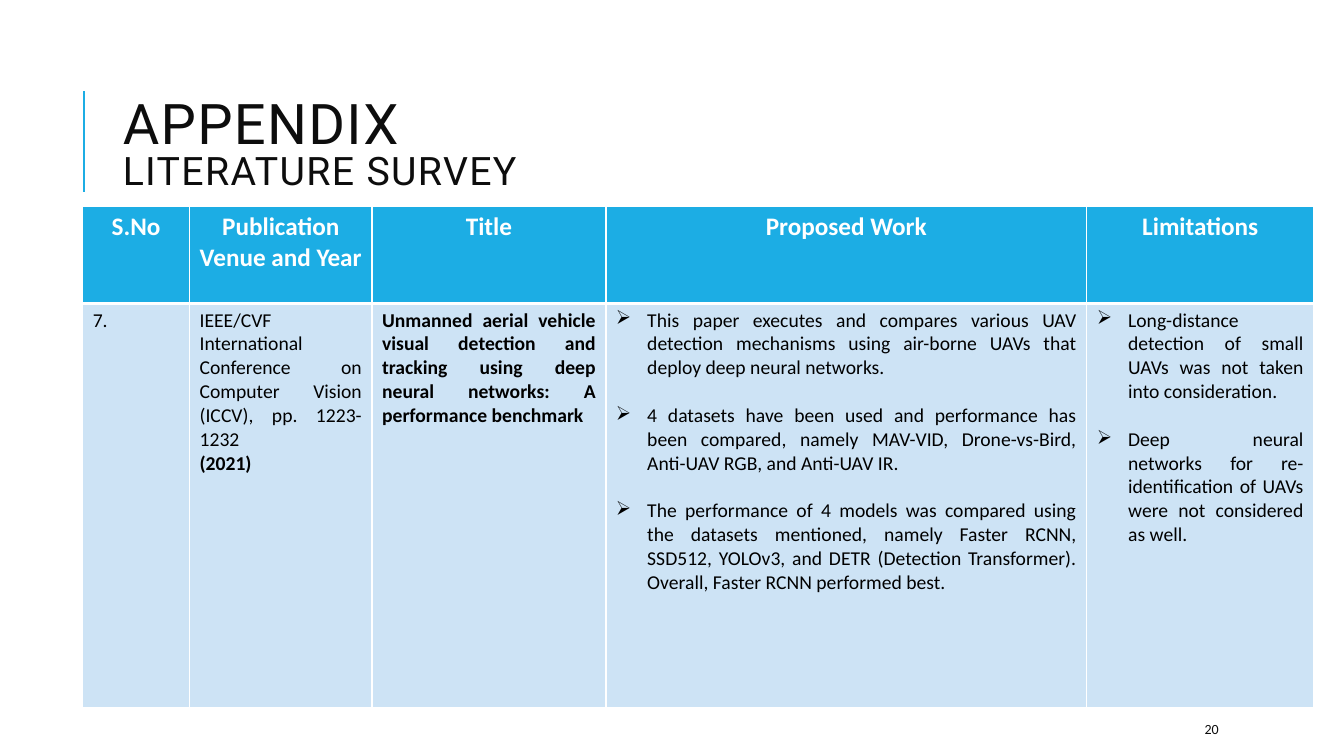
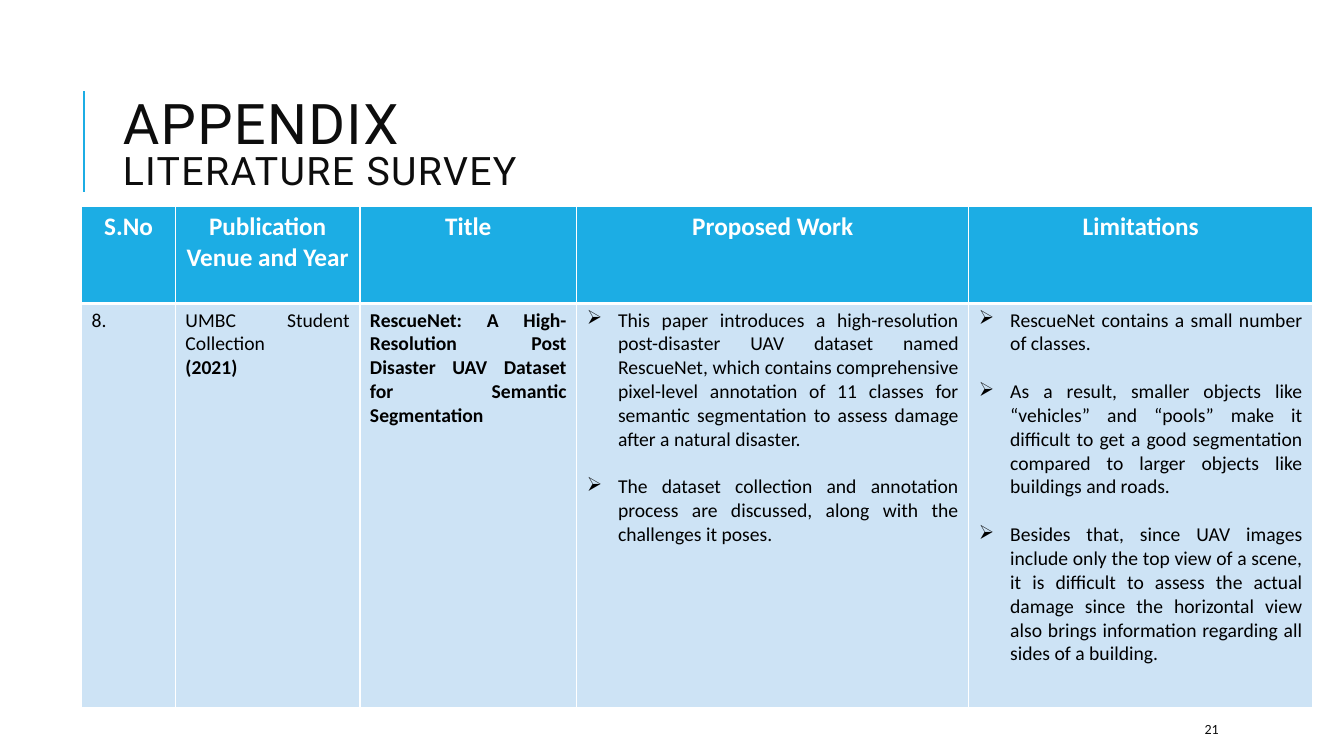
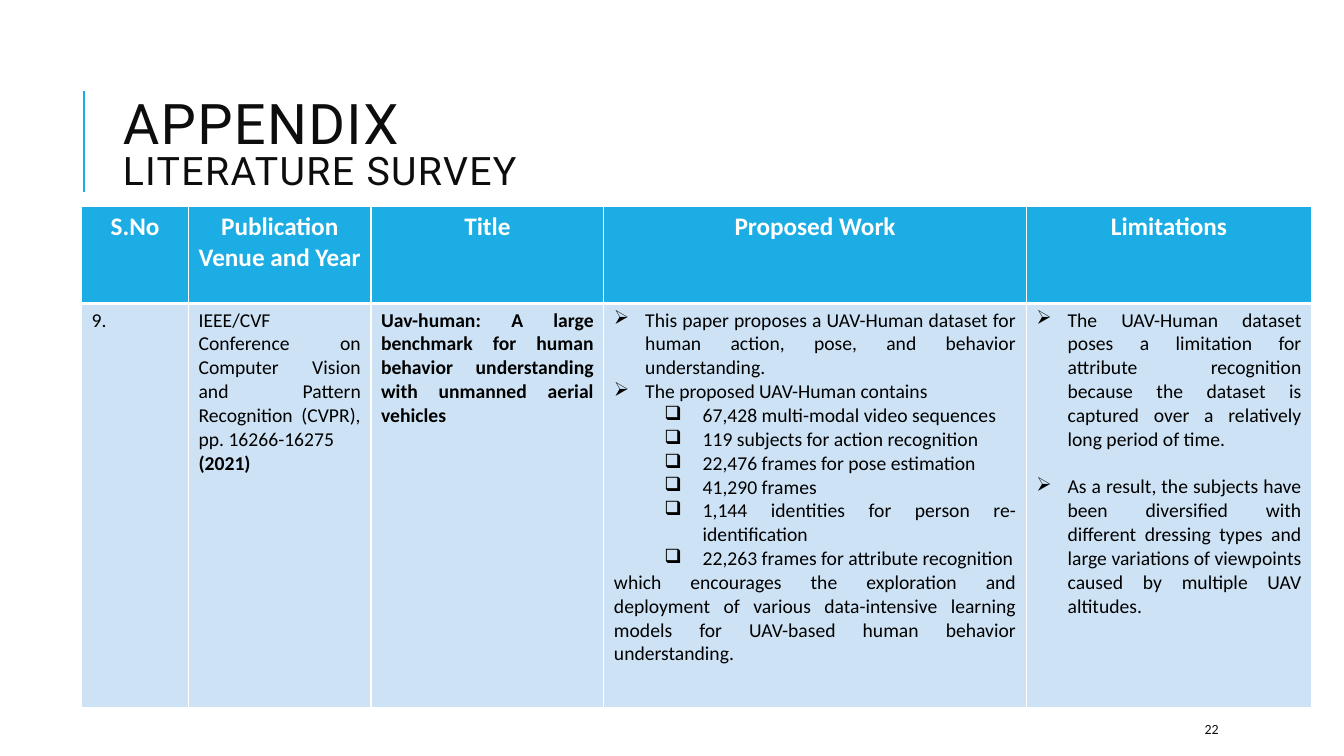
from lxml.etree import SubElement
from pptx import Presentation
from pptx.dml.color import RGBColor
from pptx.enum.shapes import MSO_CONNECTOR
from pptx.enum.text import MSO_ANCHOR, PP_ALIGN
from pptx.oxml import parse_xml
from pptx.oxml.ns import nsdecls, qn
from pptx.util import Inches, Pt

ACCENT, INK, BODY_FILL, WHITE, BLACK = "1CADE4", "0D0D0D", "CDE3F5", "FFFFFF", "000000"
TITLE_FONT, BODY_FONT = "Roboto", "Calibri"
TITLE_LINES = [("APPENDIX", 40), ("LITERATURE SURVEY", 28)]
HEADERS = ["S.No", "Publication Venue and Year", "Title", "Proposed Work", "Limitations"]
ROW_HEIGHTS = [0.96, 4.01]
TABLE_TOP = 2.05
FIRST_PAGE = 20
BLANK_LINE = 17  # points between spaced bullets

# Bullet styles: character, left indent, hanging indent
BULLETS = {"arrow": ("➢", 0.31, 0.31), "box": ("❑", 0.88, 0.38)}

# Each work and limitation entry: style, space before in points, text
SURVEY = [
    {
        "number": "7.", "left": 0.82, "columns": [1.06, 1.81, 2.32, 4.77, 2.25],
        "venue": "IEEE/CVF International Conference on Computer Vision (ICCV), pp. 1223-1232",
        "year": "(2021)",
        "title": "Unmanned aerial vehicle visual detection and tracking using deep neural "
                 "networks: A performance benchmark",
        "work": [
            ("arrow", 0, "This paper executes and compares various UAV detection mechanisms "
                         "using air-borne UAVs that deploy deep neural networks."),
            ("arrow", BLANK_LINE, "4 datasets have been used and performance has been compared, "
                                  "namely MAV-VID, Drone-vs-Bird, Anti-UAV RGB, and Anti-UAV IR."),
            ("arrow", BLANK_LINE, "The performance of 4 models was compared using the datasets "
                                  "mentioned, namely Faster RCNN, SSD512, YOLOv3, and DETR "
                                  "(Detection Transformer). Overall, Faster RCNN performed best."),
        ],
        "limits": [
            ("arrow", 0, "Long-distance detection of small UAVs was not taken into consideration."),
            ("arrow", BLANK_LINE, "Deep neural networks for re-identification of UAVs were not "
                                  "considered as well."),
        ],
    },
    {
        "number": "8.", "left": 0.81, "columns": [0.93, 1.83, 2.15, 3.89, 3.41],
        "venue": "UMBC Student Collection",
        "year": "(2021)",
        "title": "RescueNet: A High-Resolution Post Disaster UAV Dataset for Semantic Segmentation",
        "work": [
            ("arrow", 0, "This paper introduces a high-resolution post-disaster UAV dataset named "
                         "RescueNet, which contains comprehensive pixel-level annotation of 11 "
                         "classes for semantic segmentation to assess damage after a natural "
                         "disaster."),
            ("arrow", BLANK_LINE, "The dataset collection and annotation process are discussed, "
                                  "along with the challenges it poses."),
        ],
        "limits": [
            ("arrow", 0, "RescueNet contains a small number of classes."),
            ("arrow", BLANK_LINE, "As a result, smaller objects like “vehicles” and “pools” make "
                                  "it difficult to get a good segmentation compared to larger "
                                  "objects like buildings and roads."),
            ("arrow", BLANK_LINE, "Besides that, since UAV images include only the top view of a "
                                  "scene, it is difficult to assess the actual damage since the "
                                  "horizontal view also brings information regarding all sides of "
                                  "a building."),
        ],
    },
    {
        "number": "9.", "left": 0.81, "columns": [1.06, 1.81, 2.31, 4.19, 2.83],
        "venue": "IEEE/CVF Conference on Computer Vision and Pattern Recognition (CVPR), "
                 "pp. 16266-16275",
        "year": "(2021)",
        "title": "Uav-human: A large benchmark for human behavior understanding with unmanned "
                 "aerial vehicles",
        "work": [
            ("arrow", 0, "This paper proposes a UAV-Human dataset for human action, pose, and "
                         "behavior understanding."),
            ("arrow", 0, "The proposed UAV-Human contains"),
            ("box", 0, "67,428 multi-modal video sequences"),
            ("box", 0, "119 subjects for action recognition"),
            ("box", 0, "22,476 frames for pose estimation"),
            ("box", 0, "41,290 frames"),
            ("box", 0, "1,144 identities for person re-identification"),
            ("box", 0, "22,263 frames for attribute recognition"),
            ("plain", 0, "which encourages the exploration and deployment of various "
                         "data-intensive learning models for UAV-based human behavior "
                         "understanding."),
        ],
        "limits": [
            ("arrow", 0, "The UAV-Human dataset poses a limitation for attribute recognition "
                         "because the dataset is captured over a relatively long period of time."),
            ("arrow", BLANK_LINE, "As a result, the subjects have been diversified with different "
                                  "dressing types and large variations of viewpoints caused by "
                                  "multiple UAV altitudes."),
        ],
    },
]


def color(value):
    return RGBColor.from_string(value)


def add_span(para, text, size, font=BODY_FONT, ink=INK, bold=False):
    span = para.add_run()
    span.text = text
    span.font.size, span.font.name, span.font.bold = Pt(size), font, bold
    span.font.color.rgb = color(ink)
    return span


def add_text_box(page, left, top, width, height):
    box = page.shapes.add_textbox(Inches(left), Inches(top), Inches(width), Inches(height))
    box.text_frame.word_wrap = True
    box.text_frame.vertical_anchor = MSO_ANCHOR.MIDDLE
    return box.text_frame.paragraphs[0]


def add_frame(page, number):
    """Accent rule, title and page number shared by every slide."""
    rule = page.shapes.add_connector(
        MSO_CONNECTOR.STRAIGHT, Inches(0.83), Inches(1.9), Inches(0.83), Inches(0.9))
    rule.line.color.rgb, rule.line.width = color(ACCENT), Pt(1.5)
    SubElement(rule._element.spPr, qn("a:effectLst"))

    para = add_text_box(page, 1.12, 0.64, 10.63, 1.64)
    para.line_spacing = 0.8
    for index, (text, size) in enumerate(TITLE_LINES):
        if index:
            para.add_line_break()
        span = add_span(para, text, size, TITLE_FONT)
        span.font._element.set("spc", "100")

    add_span(add_text_box(page, 11.85, 7.08, 1.06, 0.3), str(number), 10)


def set_borders(cell, top, bottom):
    properties = cell._tc.get_or_add_tcPr()
    widths = [("lnL", 1), ("lnR", 1), ("lnT", top), ("lnB", bottom)]
    for index, (side, width) in enumerate(widths):
        properties.insert(index, parse_xml(
            f'<a:{side} {nsdecls("a")} w="{Pt(width)}"><a:solidFill>'
            f'<a:srgbClr val="{WHITE}"/></a:solidFill></a:{side}>'))


def fill_cell(cell, entries, fill, ink, size, align):
    """Write entries of (style, space before, text, bold) as paragraphs."""
    cell.fill.solid()
    cell.fill.fore_color.rgb = color(fill)
    for index, (style, space, text, bold) in enumerate(entries):
        frame = cell.text_frame
        para = frame.add_paragraph() if index else frame.paragraphs[0]
        if style in BULLETS:
            character, left, hanging = BULLETS[style]
            properties = para._p.get_or_add_pPr()
            properties.set("marL", str(Inches(left)))
            properties.set("indent", str(-Inches(hanging)))
            SubElement(properties, qn("a:buChar"), char=character)
        if space:
            para.space_before = Pt(space)
        para.alignment = align
        add_span(para, text, size, ink=ink, bold=bold)


def add_survey_table(page, paper):
    columns = paper["columns"]
    table = page.shapes.add_table(
        2, len(columns), Inches(paper["left"]), Inches(TABLE_TOP),
        Inches(sum(columns)), Inches(sum(ROW_HEIGHTS))).table
    for column, width in zip(table.columns, columns):
        column.width = Inches(width)
    for row, height in zip(table.rows, ROW_HEIGHTS):
        row.height = Inches(height)

    body = [
        [("plain", 0, paper["number"], False)],
        [("plain", 0, paper["venue"], False), ("plain", 0, paper["year"], True)],
        [("plain", 0, paper["title"], True)],
        [(*entry, False) for entry in paper["work"]],
        [(*entry, False) for entry in paper["limits"]],
    ]
    for index, (header, entries) in enumerate(zip(HEADERS, body)):
        head_cell, body_cell = table.cell(0, index), table.cell(1, index)
        fill_cell(head_cell, [("plain", 0, header, True)], ACCENT, WHITE, 18, PP_ALIGN.CENTER)
        fill_cell(body_cell, entries, BODY_FILL, BLACK, 14,
                  PP_ALIGN.JUSTIFY if index else PP_ALIGN.LEFT)
        set_borders(head_cell, top=1, bottom=3)
        set_borders(body_cell, top=3, bottom=1)


def main():
    deck = Presentation()
    deck.slide_width, deck.slide_height = Inches(13.33), Inches(7.5)
    for number, paper in enumerate(SURVEY, FIRST_PAGE):
        page = deck.slides.add_slide(deck.slide_layouts[6])
        add_frame(page, number)
        add_survey_table(page, paper)
    deck.save("out.pptx")


if __name__ == "__main__":
    main()
